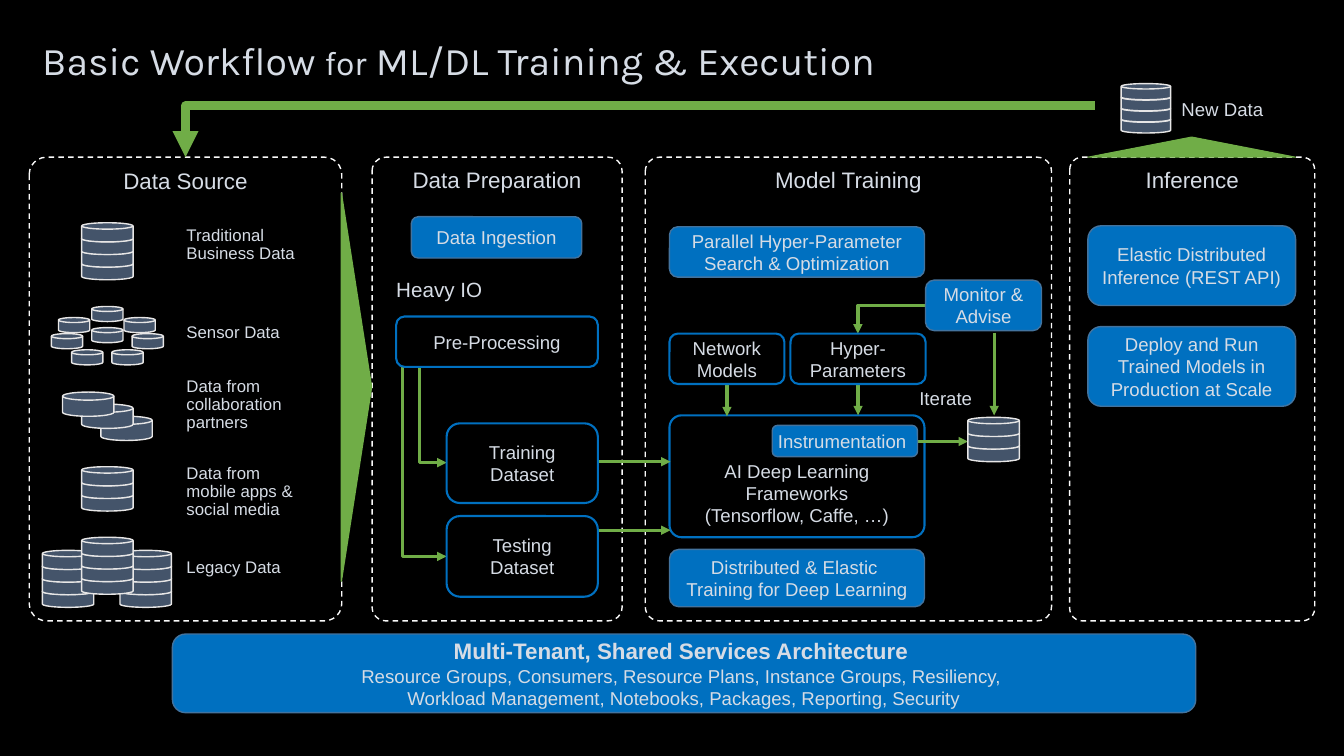
from dataclasses import dataclass

from lxml import etree
from pptx import Presentation
from pptx.dml.color import RGBColor
from pptx.enum.dml import MSO_LINE
from pptx.enum.shapes import MSO_CONNECTOR, MSO_SHAPE
from pptx.enum.text import MSO_ANCHOR, PP_ALIGN
from pptx.oxml.ns import qn
from pptx.util import Inches, Pt

BLACK = RGBColor(0x00, 0x00, 0x00)
PALE = RGBColor(0xD6, 0xDC, 0xE5)
OFF_WHITE = RGBColor(0xFA, 0xFA, 0xFA)
BLUE = RGBColor(0x00, 0x70, 0xC0)
BLUE_EDGE = RGBColor(0x43, 0x73, 0x9E)
GREEN = RGBColor(0x70, 0xAD, 0x47)
SLATE = RGBColor(0x44, 0x54, 0x6A)
LIGHT = RGBColor(0xE7, 0xE6, 0xE6)

ROUNDED, TRIANGLE, DISK = MSO_SHAPE.ROUNDED_RECTANGLE, MSO_SHAPE.ISOSCELES_TRIANGLE, MSO_SHAPE.FLOWCHART_MAGNETIC_DISK
STRAIGHT, ELBOW = MSO_CONNECTOR.STRAIGHT, MSO_CONNECTOR.ELBOW
TOP, MIDDLE, BOTTOM = MSO_ANCHOR.TOP, MSO_ANCHOR.MIDDLE, MSO_ANCHOR.BOTTOM
LEFT, CENTER, RIGHT = PP_ALIGN.LEFT, PP_ALIGN.CENTER, PP_ALIGN.RIGHT
NO_INSETS = (0, 0, 0, 0)
DEFAULT_INSETS = (0.1, 0.05, 0.1, 0.05)
BODY = 13.3


@dataclass
class Run:
    text: str
    size: float = BODY
    bold: bool = False
    font: str = "Arial"


@dataclass
class Box:
    at: tuple
    paragraphs: list
    filled: bool = True
    anchor: MSO_ANCHOR = MIDDLE
    insets: tuple = DEFAULT_INSETS
    rounding: float = 0.1667


@dataclass
class Panel:
    left: float
    width: float
    title: str
    rounding: float


@dataclass
class Label:
    at: tuple
    runs: list
    align: PP_ALIGN = LEFT
    anchor: MSO_ANCHOR = TOP
    insets: tuple = NO_INSETS
    spacing: float = 0.9


@dataclass
class Arrow:
    start: tuple
    end: tuple
    bend: str = ""  # "across" or "down": the direction of the first leg
    weight: float = 2.25


@dataclass
class DiskGroup:
    positions: list
    width: float = 0.51
    height: float = 0.19


def stack(left: float, top: float, count: int, step: float = 0.125) -> list:
    """Disk positions from the bottom one up, so that each covers the one below."""
    return [(left, top + step * level) for level in reversed(range(count))]


PANELS = [Panel(3.69, 2.48, "Data Preparation", 0.055), Panel(0.29, 3.1, "Data Source", 0.055),
          Panel(6.4, 4.03, "Model Training", 0.035), Panel(10.61, 2.43, "Inference", 0.051)]

FRAMEWORKS = Box((6.64, 4.12, 2.53, 1.21),
                 [[Run("AI Deep Learning Frameworks")], [Run("(Tensorflow, Caffe, …)")]],
                 False, BOTTOM, (0.1, 0.27, 0.1, 0.07), 0.1)
BOXES = [
    Box((4.08, 2.15, 1.69, 0.41), [[Run("Data Ingestion")]]),
    Box((3.93, 3.14, 2, 0.5), [[Run("Pre-Processing")]], False),
    Box((4.43, 4.2, 1.5, 0.79), [[Run("Training Dataset")]], False),
    Box((4.43, 5.12, 1.5, 0.8), [[Run("Testing Dataset")]], False),
    Box((6.64, 2.25, 2.53, 0.5), [[Run("Parallel Hyper-Parameter Search & Optimization")]]),
    Box((9.18, 2.78, 1.15, 0.5), [[Run("Monitor & Advise")]]),
    Box((6.64, 3.31, 1.14, 0.5), [[Run("Network Models")]], False),
    Box((7.84, 3.31, 1.34, 0.5), [[Run("Hyper- Parameters")]], False),
    Box((7.66, 4.22, 1.44, 0.31), [[Run("Instrumentation ")]], insets=NO_INSETS),
    Box((6.64, 5.45, 2.53, 0.57), [[Run("Distributed & Elastic \nTraining for Deep Learning")]]),
    Box((10.79, 2.24, 2.06, 0.79), [[Run("Elastic Distributed Inference (REST API)")]]),
    Box((10.79, 3.24, 2.06, 0.79), [[Run("Deploy and Run Trained Models in Production at Scale")]]),
    Box((1.71, 6.29, 10.15, 0.78), [
        [Run("Multi-Tenant, Shared Services Architecture ", 16, True)],
        [Run("Resource Groups, Consumers, Resource Plans, Instance Groups, Resiliency, ")],
        [Run("Workload Management, Notebooks, Packages, Reporting, Security")]]),
]

ARROWS = [
    Arrow((3.99, 3.5), (4.43, 5.52), "down"), Arrow((4.16, 3.23), (4.43, 4.59), "down"),
    Arrow((5.72, 4.58), (6.65, 4.58)), Arrow((5.72, 5.26), (6.65, 5.26)),
    Arrow((7.21, 3.73), (7.21, 4.13)), Arrow((8.51, 3.72), (8.51, 4.12)),
    Arrow((9.86, 3.3), (9.86, 4.12)), Arrow((9.07, 4.38), (9.6, 4.38)),
    Arrow((9.18, 3.03), (8.51, 3.31), "across"),
    Arrow((10.86, 1.05), (1.84, 1.56), "across", 6.25),
]

DISK_GROUPS = [
    DiskGroup(stack(0.81, 2.21, 4)),
    DiskGroup([(0.58, 3.15), (0.51, 3.31), (1.31, 3.31), (1.23, 3.15),
               (0.71, 3.47), (1.11, 3.47), (0.91, 3.04), (0.91, 3.25)], 0.31, 0.15),
    DiskGroup([(1, 4.13), (0.81, 4.01), (0.62, 3.89)], height=0.24),
    DiskGroup(stack(0.81, 4.63, 3)),
    DiskGroup(stack(1.19, 5.46, 4) + stack(0.42, 5.46, 4) + stack(0.81, 5.33, 4)),
    DiskGroup(stack(9.6, 4.14, 3)),
    DiskGroup(stack(11.12, 0.83, 4, 0.11), 0.49, 0.16),
]

SOURCES = [(2.25, 0.36, "Traditional Business Data"), (3.21, 0.18, "Sensor Data"),
           (3.75, 0.55, "Data from collaboration partners"),
           (4.61, 0.55, "Data from \nmobile apps &\nsocial media"), (5.55, 0.18, "Legacy Data")]
LABELS = [Label((1.85, top, 1.47, height), [Run(text, 12)]) for top, height, text in SOURCES] + [
    Label((0.32, 0.33, 12.7, 0.59),
          [Run("Basic Workflow ", 28, font="Karla"), Run("for", 24, font="Karla"),
           Run(" ML/DL Training & Execution", 28, font="Karla")], anchor=MIDDLE, insets=DEFAULT_INSETS),
    Label((11.3, 0.97, 1.23, 0.22), [Run("New Data")], RIGHT, spacing=1),
    Label((3.93, 2.7, 1.1, 0.35), [Run("Heavy IO", 14.7)], insets=(0, 0.05, 0.1, 0.05), spacing=1),
    Label((9.02, 3.79, 0.8, 0.33), [Run("Iterate")], insets=DEFAULT_INSETS, spacing=1),
]


def write(shape, paragraphs: list, align: PP_ALIGN, anchor: MSO_ANCHOR, insets: tuple, spacing: float = 1) -> None:
    frame = shape.text_frame
    frame.word_wrap = True
    frame.vertical_anchor = anchor
    frame.margin_left, frame.margin_top, frame.margin_right, frame.margin_bottom = map(Inches, insets)
    for index, runs in enumerate(paragraphs):
        paragraph = frame.add_paragraph() if index else frame.paragraphs[0]
        paragraph.alignment = align
        paragraph.line_spacing = float(spacing)
        for entry in runs:
            for line_number, line in enumerate(entry.text.split("\n")):
                if line_number:
                    paragraph.add_line_break()
                run = paragraph.add_run()
                run.text = line
                run.font.name = entry.font
                run.font.size = Pt(entry.size)
                run.font.bold = entry.bold
                run.font.color.rgb = PALE


def add_figure(shapes, kind: MSO_SHAPE, at: tuple, fill: RGBColor | None, edge: RGBColor, weight: float = 1):
    shape = shapes.add_shape(kind, *map(Inches, at))
    shape.shadow.inherit = False
    if fill is None:
        shape.fill.background()
    else:
        shape.fill.solid()
        shape.fill.fore_color.rgb = fill
    shape.line.color.rgb = edge
    shape.line.width = Pt(weight)
    return shape


def add_panel(shapes, panel: Panel) -> None:
    shape = add_figure(shapes, ROUNDED, (panel.left, 1.56, panel.width, 4.6), None, OFF_WHITE)
    shape.adjustments[0] = panel.rounding
    shape.line.dash_style = MSO_LINE.DASH
    write(shape, [[Run(panel.title, 16)]], CENTER, TOP, DEFAULT_INSETS)


def add_box(shapes, box: Box) -> None:
    style = (BLUE, BLUE_EDGE, 1) if box.filled else (BLACK, BLUE, 1.5)
    shape = add_figure(shapes, ROUNDED, box.at, *style)
    shape.adjustments[0] = box.rounding
    write(shape, box.paragraphs, CENTER, box.anchor, box.insets)


def add_arrow(shapes, arrow: Arrow) -> None:
    (x1, y1), (x2, y2) = arrow.start, arrow.end
    if arrow.bend == "down":  # laid out sideways here, then turned by 270 degrees
        middle_x, middle_y = (x1 + x2) / 2, (y1 + y2) / 2
        half_width, half_height = (y2 - y1) / 2, (x2 - x1) / 2
        x1, x2 = middle_x + half_width, middle_x - half_width
        y1, y2 = middle_y - half_height, middle_y + half_height
    connector = shapes.add_connector(ELBOW if arrow.bend else STRAIGHT, *map(Inches, (x1, y1, x2, y2)))
    connector.line.color.rgb = GREEN
    connector.line.width = Pt(arrow.weight)
    properties = connector._element.spPr
    if arrow.bend:
        properties.find(qn("a:prstGeom")).set("prst", "bentConnector2")
    if arrow.bend == "down":
        properties.find(qn("a:xfrm")).set("rot", "16200000")
    etree.SubElement(properties.find(qn("a:ln")), qn("a:tailEnd"), type="triangle")
    etree.SubElement(properties, qn("a:effectLst"))


def add_disks(shapes, disks: DiskGroup) -> None:
    group = shapes.add_group_shape()
    for left, top in disks.positions:
        add_figure(group.shapes, DISK, (left, top, disks.width, disks.height), SLATE, LIGHT)


def add_label(shapes, label: Label) -> None:
    shape = shapes.add_textbox(*map(Inches, label.at))
    write(shape, [label.runs], label.align, label.anchor, label.insets, label.spacing)


def main() -> None:
    presentation = Presentation()
    presentation.slide_width, presentation.slide_height = Inches(13.33), Inches(7.5)
    slide = presentation.slides.add_slide(presentation.slide_layouts[6])
    slide.background.fill.solid()
    slide.background.fill.fore_color.rgb = BLACK
    shapes = slide.shapes
    for panel in PANELS:
        add_panel(shapes, panel)
    to_preparation = add_figure(shapes, TRIANGLE, (1.61, 3.69, 3.85, 0.3), GREEN, GREEN)
    to_preparation.rotation = 90
    add_figure(shapes, TRIANGLE, (10.79, 1.36, 2.06, 0.2), GREEN, GREEN, 0.75)
    add_box(shapes, FRAMEWORKS)
    for draw, items in ((add_arrow, ARROWS), (add_box, BOXES), (add_disks, DISK_GROUPS), (add_label, LABELS)):
        for item in items:
            draw(shapes, item)
    presentation.save("out.pptx")


if __name__ == "__main__":
    main()
